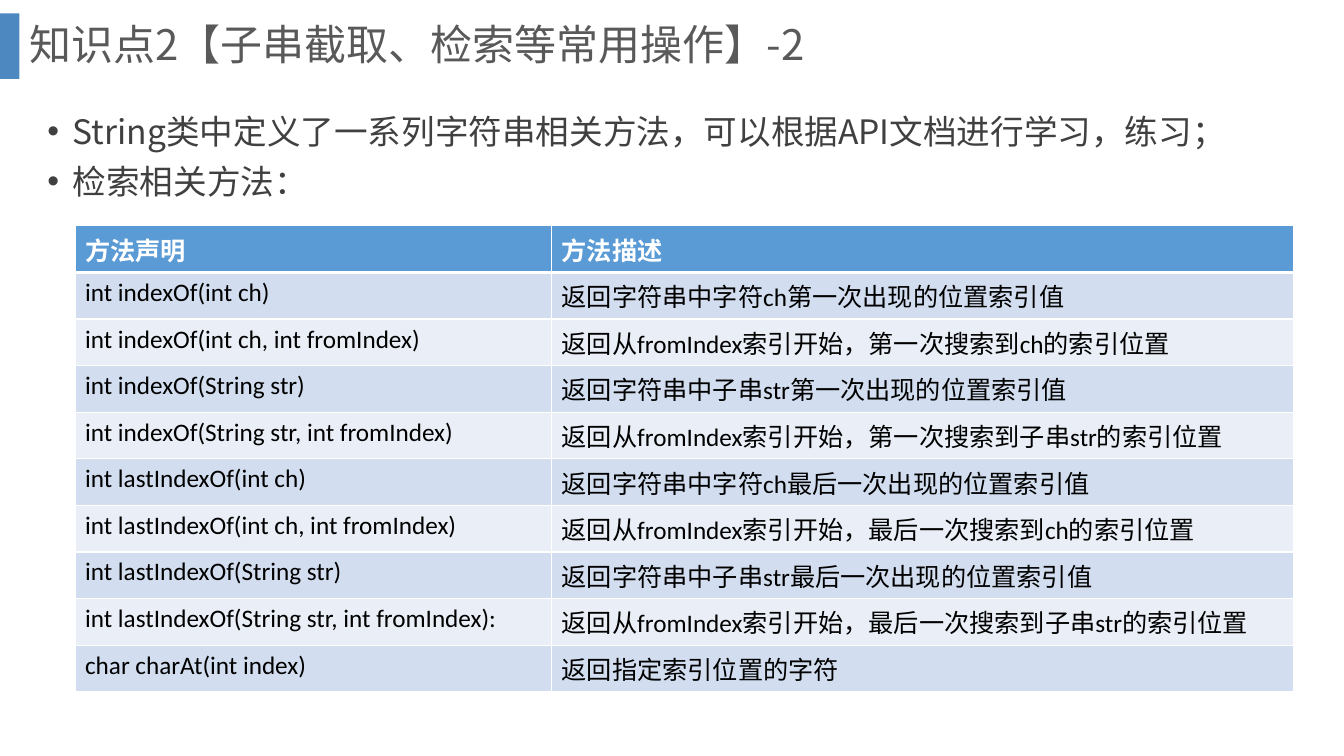
from dataclasses import dataclass

from lxml import etree
from pptx import Presentation
from pptx.dml.color import RGBColor
from pptx.enum.shapes import MSO_SHAPE
from pptx.enum.text import MSO_ANCHOR, MSO_AUTO_SIZE, PP_ALIGN
from pptx.oxml.ns import qn
from pptx.util import Cm, Pt

RECTANGLE = MSO_SHAPE.RECTANGLE
TOP, MIDDLE = MSO_ANCHOR.TOP, MSO_ANCHOR.MIDDLE
NO_AUTOFIT = MSO_AUTO_SIZE.NONE
LEFT = PP_ALIGN.LEFT


@dataclass(frozen=True)
class Theme:
    heading_font: str = "Noto Sans CJK SC"
    table_font: str = "Calibri"
    title_size: int = 30
    body_size: int = 24
    table_size: int = 18
    title_color: str = "595959"
    body_color: str = "404040"
    accent_bar: str = "2E75B6"
    header_fill: str = "5B9BD5"
    header_text: str = "FFFFFF"
    cell_text: str = "000000"
    band_fills: tuple = ("D2DEEF", "EAEFF7")
    border: str = "FFFFFF"


THEME = Theme()

TITLE = "知识点2【子串截取、检索等常用操作】-2"
# Each point: text, line spacing
POINTS = [
    ("String类中定义了一系列字符串相关方法，可以根据API文档进行学习，练习；", 1.5),
    ("检索相关方法：", 0.9),
]
METHODS = [
    ("方法声明", "方法描述"),
    ("int indexOf(int ch)", "返回字符串中字符ch第一次出现的位置索引值"),
    ("int indexOf(int ch, int fromIndex)", "返回从fromIndex索引开始，第一次搜索到ch的索引位置"),
    ("int indexOf(String str)", "返回字符串中子串str第一次出现的位置索引值"),
    ("int indexOf(String str, int fromIndex)", "返回从fromIndex索引开始，第一次搜索到子串str的索引位置"),
    ("int lastIndexOf(int ch)", "返回字符串中字符ch最后一次出现的位置索引值"),
    ("int lastIndexOf(int ch, int fromIndex)", "返回从fromIndex索引开始，最后一次搜索到ch的索引位置"),
    ("int lastIndexOf(String str)", "返回字符串中子串str最后一次出现的位置索引值"),
    ("int lastIndexOf(String str, int fromIndex):", "返回从fromIndex索引开始，最后一次搜索到子串str的索引位置"),
    ("char charAt(int index)", "返回指定索引位置的字符"),
]
COLUMN_WIDTHS = (Cm(12.01), Cm(18.69))
ROW_HEIGHT = Cm(1.03)


def apply_format(target, values):
    for name, value in values.items():
        setattr(target, name, value)


def write_run(paragraph, text, font_name, size, color, bold=False):
    run = paragraph.add_run()
    run.text = text
    apply_format(run.font, {"name": font_name, "size": Pt(size), "bold": bold})
    run.font.color.rgb = RGBColor.from_string(color)
    # Chinese characters use the East Asian typeface
    east_asian = etree.SubElement(run.font._element, qn("a:ea"))
    east_asian.set("typeface", THEME.heading_font)


def place_text(placeholder, left, top, width, height, anchor):
    apply_format(placeholder, {"left": left, "top": top, "width": width, "height": height})
    frame = placeholder.text_frame
    apply_format(frame, {"word_wrap": True, "auto_size": NO_AUTOFIT, "vertical_anchor": anchor})
    return frame


def add_accent_bar(slide):
    bar = slide.shapes.add_shape(RECTANGLE, Cm(0), Cm(0.34), Cm(0.49), Cm(1.65))
    bar.shadow.inherit = False
    bar.line.fill.background()
    bar.fill.solid()
    bar.fill.fore_color.rgb = RGBColor.from_string(THEME.accent_bar)
    color = bar._element.spPr.find(".//" + qn("a:srgbClr"))
    etree.SubElement(color, qn("a:alpha")).set("val", "85000")


def fill_title(slide):
    frame = place_text(slide.shapes.title, Cm(0.49), Cm(0), Cm(32.16), Cm(2.36), MIDDLE)
    paragraph = frame.paragraphs[0]
    apply_format(paragraph, {"alignment": LEFT, "line_spacing": 0.9})
    write_run(paragraph, TITLE, THEME.heading_font, THEME.title_size, THEME.title_color)


def fill_points(slide):
    frame = place_text(slide.placeholders[1], Cm(0.94), Cm(2.16), Cm(30.6), Cm(3.48), TOP)
    for index, (text, spacing) in enumerate(POINTS):
        paragraph = frame.add_paragraph() if index else frame.paragraphs[0]
        apply_format(paragraph, {"line_spacing": spacing, "space_before": Pt(10)})
        properties = paragraph._p.get_or_add_pPr()
        properties.set("marL", str(Cm(0.64)))
        properties.set("indent", str(-Cm(0.64)))
        etree.SubElement(properties, qn("a:buFont")).set("typeface", "Arial")
        etree.SubElement(properties, qn("a:buChar")).set("char", "•")
        write_run(paragraph, text, THEME.heading_font, THEME.body_size, THEME.body_color)


def set_border(cell, side, width):
    line = etree.SubElement(cell._tc.get_or_add_tcPr(), qn("a:" + side), w=str(Pt(width)))
    fill = etree.SubElement(line, qn("a:solidFill"))
    etree.SubElement(fill, qn("a:srgbClr")).set("val", THEME.border)


def fill_cell(cell, text, row):
    header = row == 0
    background = THEME.header_fill if header else THEME.band_fills[(row - 1) % 2]
    widths = {"lnL": 1, "lnR": 1, "lnT": 3 if row == 1 else 1, "lnB": 3 if header else 1}
    for side, width in widths.items():
        set_border(cell, side, width)
    cell.fill.solid()
    cell.fill.fore_color.rgb = RGBColor.from_string(background)
    color = THEME.header_text if header else THEME.cell_text
    write_run(cell.text_frame.paragraphs[0], text, THEME.table_font, THEME.table_size,
              color, bold=header)


def add_method_table(slide):
    table = slide.shapes.add_table(
        len(METHODS), len(COLUMN_WIDTHS), Cm(1.89), Cm(5.69),
        sum(COLUMN_WIDTHS), ROW_HEIGHT * len(METHODS)).table
    for column, width in zip(table.columns, COLUMN_WIDTHS):
        column.width = width
    for row, texts in enumerate(METHODS):
        table.rows[row].height = ROW_HEIGHT
        for column, text in enumerate(texts):
            fill_cell(table.cell(row, column), text, row)


def main():
    presentation = Presentation()
    apply_format(presentation, {"slide_width": Cm(33.87), "slide_height": Cm(19.05)})
    slide = presentation.slides.add_slide(presentation.slide_layouts[1])
    add_accent_bar(slide)
    fill_title(slide)
    fill_points(slide)
    add_method_table(slide)
    presentation.save("out.pptx")


if __name__ == "__main__":
    main()
